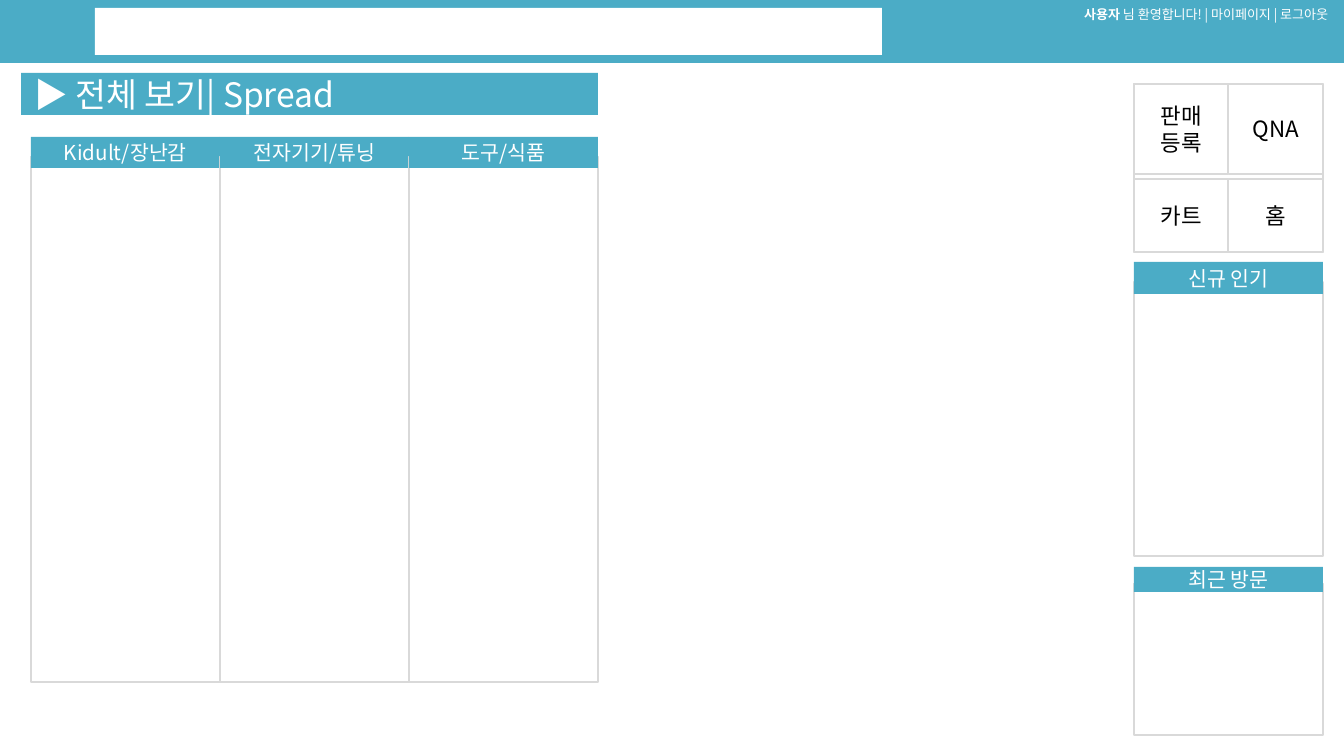
"""Build a shop overview slide with a top bar, category columns and a side menu."""
from pptx import Presentation
from pptx.dml.color import RGBColor
from pptx.enum import shapes, text
from pptx.oxml import ns
from pptx.util import Emu, Pt

THEME = {
    "font": "Noto Sans CJK KR",
    "accent": "4BACC6", "paper": "FFFFFF", "rule": "D9D9D9", "ink": "000000",
    "user": 7, "header": 11, "button": 12, "title": 18, "line": 1,
}
SCALE = 914400 / 134.4
SLIDE = (1344, 756)

USER = [("사용자", True), (" 님 환영합니다! | 마이페이지 | 로그아웃", False)]
TITLE = "▶ 전체 보기| Spread"
CATEGORIES = ["Kidult/장난감", "전자기기/튜닝", "도구/식품"]
SIDE_PANELS = [
    {"label": "최근 방문", "top": 567, "head": 25, "bottom": 735},
    {"label": "신규 인기", "top": 262, "head": 32, "bottom": 556},
]
MENU = [
    {"top": 84, "height": 90, "labels": [["판매", "등록"], ["QNA"]]},
    {"top": 179, "height": 73, "labels": [["카트"], ["홈"]]},
]
COLUMN_LEFT, COLUMN_TOP, COLUMN_BOTTOM, COLUMN_HEAD = 31, 137, 682, 31
SIDE_LEFT, PANEL_W = 1134, 189
BUTTON_W = PANEL_W / 2


def px(*values):
    return [Emu(round(v * SCALE)) for v in values]


def color(name):
    return RGBColor.from_string(THEME[name])


def add_run(p, words, size, ink, bold=None):
    r = p.add_run()
    r.text = words
    r.font.color.rgb = color(ink)
    fmt = {"name": THEME["font"], "size": Pt(THEME[size]), "bold": bold}
    for key, value in fmt.items():
        setattr(r.font, key, value)
    ea = r.font._element.makeelement(ns.qn("a:ea"), {"typeface": THEME["font"]})
    r.font._element.find(ns.qn("a:latin")).addnext(ea)


def add_box(parent, box, fill, line=None, lines=(), size="header", ink="paper",
            align=text.PP_ALIGN.CENTER):
    sp = parent.shapes.add_shape(shapes.MSO_SHAPE.RECTANGLE, *px(*box))
    sp.shadow.inherit = False
    sp.fill.solid()
    sp.fill.fore_color.rgb = color(fill)
    if line:
        sp.line.color.rgb = color(line)
        sp.line.width = Pt(THEME["line"])
    else:
        sp.line.fill.background()
    tf = sp.text_frame
    tf.vertical_anchor = text.MSO_ANCHOR.MIDDLE
    for i, words in enumerate(lines):
        p = tf.add_paragraph() if i else tf.paragraphs[0]
        p.alignment = align
        add_run(p, words, size, ink)


def add_panel(parent, label, left, top, head, bottom):
    body = top + head / 2 + 4
    add_box(parent, (left, body, PANEL_W, bottom - body), "paper", "rule")
    add_box(parent, (left, top, PANEL_W, head), "accent", lines=[label])


def add_top_bar(slide):
    bar = slide.shapes.add_group_shape()
    add_box(bar, (0, 0, SLIDE[0], 63), "accent")
    add_box(bar, (95, 8, 787, 47), "paper")
    sp = bar.shapes.add_textbox(*px(1071, 0, 273, 30))
    tf = sp.text_frame
    tf.word_wrap = True
    for words, bold in USER:
        add_run(tf.paragraphs[0], words, "user", "paper", bold)


def add_menu(slide):
    menu = slide.shapes.add_group_shape()
    top, last = MENU[0]["top"], MENU[-1]
    height = last["top"] + last["height"] - top
    add_box(menu, (SIDE_LEFT, top, PANEL_W, height), "paper", "rule")
    for row in MENU:
        for i, lines in enumerate(row["labels"]):
            box = (SIDE_LEFT + i * BUTTON_W, row["top"], BUTTON_W, row["height"])
            add_box(menu, box, "paper", "rule", lines, "button", "ink")


prs = Presentation()
prs.slide_width, prs.slide_height = px(*SLIDE)
slide = prs.slides.add_slide(prs.slide_layouts[6])

for panel in SIDE_PANELS:
    add_panel(slide.shapes.add_group_shape(), left=SIDE_LEFT, **panel)
add_top_bar(slide)
columns = slide.shapes.add_group_shape()
for i, label in enumerate(CATEGORIES):
    add_panel(columns, label, COLUMN_LEFT + i * PANEL_W, COLUMN_TOP, COLUMN_HEAD,
              COLUMN_BOTTOM)
add_box(slide, (21, 73, 577, 42), "accent", lines=[TITLE], size="title",
        align=text.PP_ALIGN.LEFT)
add_menu(slide)

prs.save("out.pptx")
